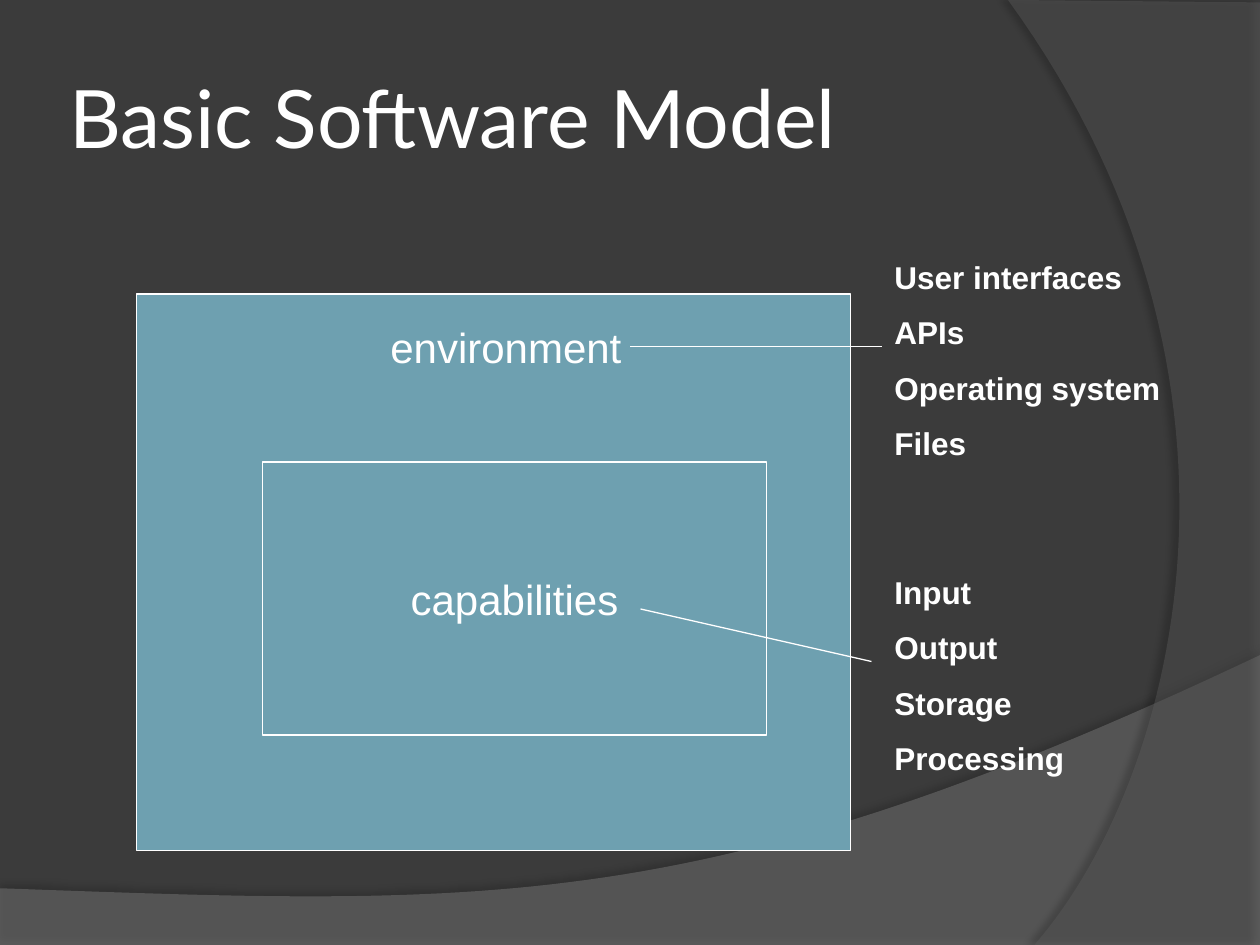
"""Build the Basic Software Model slide."""
import dataclasses
import typing

import lxml.etree
import pptx
import pptx.dml.color
import pptx.enum.shapes
import pptx.enum.text
import pptx.oxml.ns
import pptx.util

Pt = pptx.util.Pt
RGB = pptx.dml.color.RGBColor
ALIGN = pptx.enum.text.PP_ALIGN
ANCHOR = pptx.enum.text.MSO_ANCHOR
FIT = pptx.enum.text.MSO_AUTO_SIZE

WHITE = RGB(0xFF, 0xFF, 0xFF)
DARK = RGB(0x3B, 0x3B, 0x3B)
GRAY = RGB(0x7F, 0x7F, 0x7F)
SLATE = RGB(0x5E, 0x5E, 0x5E)
TEAL = RGB(0x6E, 0xA0, 0xB0)

Point = tuple[float, float]


@dataclasses.dataclass
class Wave:
    curve: tuple[Point, Point, Point, Point]
    corners: list[Point]
    color: RGB
    alpha: int
    shade: int
    dist: float
    angle: int


@dataclasses.dataclass
class Box:
    left: float
    top: float
    width: float
    height: float
    text: str = ""


@dataclasses.dataclass
class Label:
    box: Box
    size: float
    font: str = "Arial"
    bold: bool = False
    wrap: bool = True
    gap: float = 0
    inset: float = 7.2
    anchor: typing.Any = ANCHOR.TOP
    fit: typing.Any = FIT.SHAPE_TO_FIT_TEXT


@dataclasses.dataclass
class Link:
    start: Point
    end: Point


WAVES = [
    Wave(((720, 374.4), (402.5, 524.9), (281.5, 517.7), (0, 507.6)),
         [(0, 540), (720, 540)], GRAY, 45, 35, 3.5, 270),
    Wave(((591.1, 540), (673.2, 445.7), (733, 216), (576, 0)),
         [(720, 1.4), (720, 540)], SLATE, 40, 45, 4, 180),
]
BOXES = [Box(78, 168, 408, 318), Box(150, 264, 288, 156, "capabilities")]
LABELS = [
    Label(Box(36, 21.6, 588, 90, "Basic Software Model"), 46, "Lato",
          inset=3.6, anchor=ANCHOR.MIDDLE, fit=FIT.NONE),
    Label(Box(216, 180, 147, 36, "environment"), 24, wrap=False),
    Label(Box(504, 144, 174, 127, "User interfaces\nAPIs\nOperating system\nFiles"),
          18, bold=True, gap=10),
    Label(Box(504, 324, 174, 127, "Input\nOutput\nStorage\nProcessing"),
          18, bold=True, gap=10),
]
LINKS = [Link((360, 198), (504, 198)), Link((366, 348), (498, 378))]


def tag(parent: typing.Any, name: str, **attrs: typing.Any) -> typing.Any:
    values = {key: str(value) for key, value in attrs.items()}
    return lxml.etree.SubElement(parent, pptx.oxml.ns.qn(name), values)


def trace(curve: tuple[Point, Point, Point, Point], steps: int = 60) -> list[Point]:
    dots = []
    for step in range(steps + 1):
        t = step / steps
        parts = ((1 - t) ** 3, 3 * t * (1 - t) ** 2, 3 * t * t * (1 - t), t ** 3)
        dots.append(tuple(sum(w * p[axis] for w, p in zip(parts, curve))
                          for axis in (0, 1)))
    return dots


def draw_wave(slide: typing.Any, wave: Wave) -> None:
    dots = [(Pt(x), Pt(y)) for x, y in trace(wave.curve) + wave.corners]
    pen = slide.shapes.build_freeform(*dots[0])
    pen.add_line_segments(dots[1:], close=True)
    shape = pen.convert_to_shape()
    shape.fill.solid()
    shape.fill.fore_color.rgb = wave.color
    shape.line.fill.background()
    shape.shadow.inherit = False
    props = shape._element.spPr
    color = props.find(".//" + pptx.oxml.ns.qn("a:srgbClr"))
    tag(color, "a:alpha", val=wave.alpha * 1000)
    glow = tag(props.find(pptx.oxml.ns.qn("a:effectLst")), "a:outerShdw",
               blurRad=Pt(4), dist=Pt(wave.dist), dir=wave.angle * 60000,
               algn="ctr", rotWithShape=0)
    tint = tag(glow, "a:srgbClr", val="000000")
    tag(tint, "a:alpha", val=wave.shade * 1000)


def style(part: typing.Any, size: float, font: str, bold: bool = False) -> None:
    for run in part.runs:
        run.font.size = Pt(size)
        run.font.name = font
        run.font.bold = bold
        run.font.color.rgb = WHITE


def draw_box(slide: typing.Any, box: Box) -> None:
    shape = slide.shapes.add_shape(
        pptx.enum.shapes.MSO_SHAPE.FLOWCHART_PROCESS,
        Pt(box.left), Pt(box.top), Pt(box.width), Pt(box.height))
    shape.shadow.inherit = False
    shape.fill.solid()
    shape.fill.fore_color.rgb = TEAL
    shape.line.color.rgb = WHITE
    shape.line.width = Pt(0.75)
    if box.text:
        frame = shape.text_frame
        frame.text = box.text
        frame.word_wrap = False
        frame.vertical_anchor = ANCHOR.MIDDLE
        frame.paragraphs[0].alignment = ALIGN.CENTER
        style(frame.paragraphs[0], 24, "Arial")


def draw_label(slide: typing.Any, label: Label) -> None:
    box = label.box
    frame = slide.shapes.add_textbox(
        Pt(box.left), Pt(box.top), Pt(box.width), Pt(box.height)).text_frame
    frame.text = box.text
    frame.word_wrap = label.wrap
    frame.auto_size = label.fit
    frame.vertical_anchor = label.anchor
    frame.margin_left = frame.margin_right = Pt(label.inset)
    frame.margin_top = frame.margin_bottom = Pt(3.6)
    for index, part in enumerate(frame.paragraphs):
        part.space_before = Pt(label.gap if index else 0)
        style(part, label.size, label.font, label.bold)


def draw_link(slide: typing.Any, link: Link) -> None:
    line = slide.shapes.add_connector(
        pptx.enum.shapes.MSO_CONNECTOR.STRAIGHT,
        *(Pt(value) for value in link.start + link.end))
    line.line.color.rgb = WHITE
    line.line.width = Pt(0.75)
    tag(line._element.spPr, "a:effectLst")


def main() -> None:
    deck = pptx.Presentation()
    deck.slide_width, deck.slide_height = Pt(720), Pt(540)
    slide = deck.slides.add_slide(deck.slide_layouts[6])
    slide.background.fill.solid()
    slide.background.fill.fore_color.rgb = DARK
    for draw, items in ((draw_wave, WAVES), (draw_box, BOXES),
                        (draw_label, LABELS), (draw_link, LINKS)):
        for item in items:
            draw(slide, item)
    deck.save("out.pptx")


if __name__ == "__main__":
    main()
